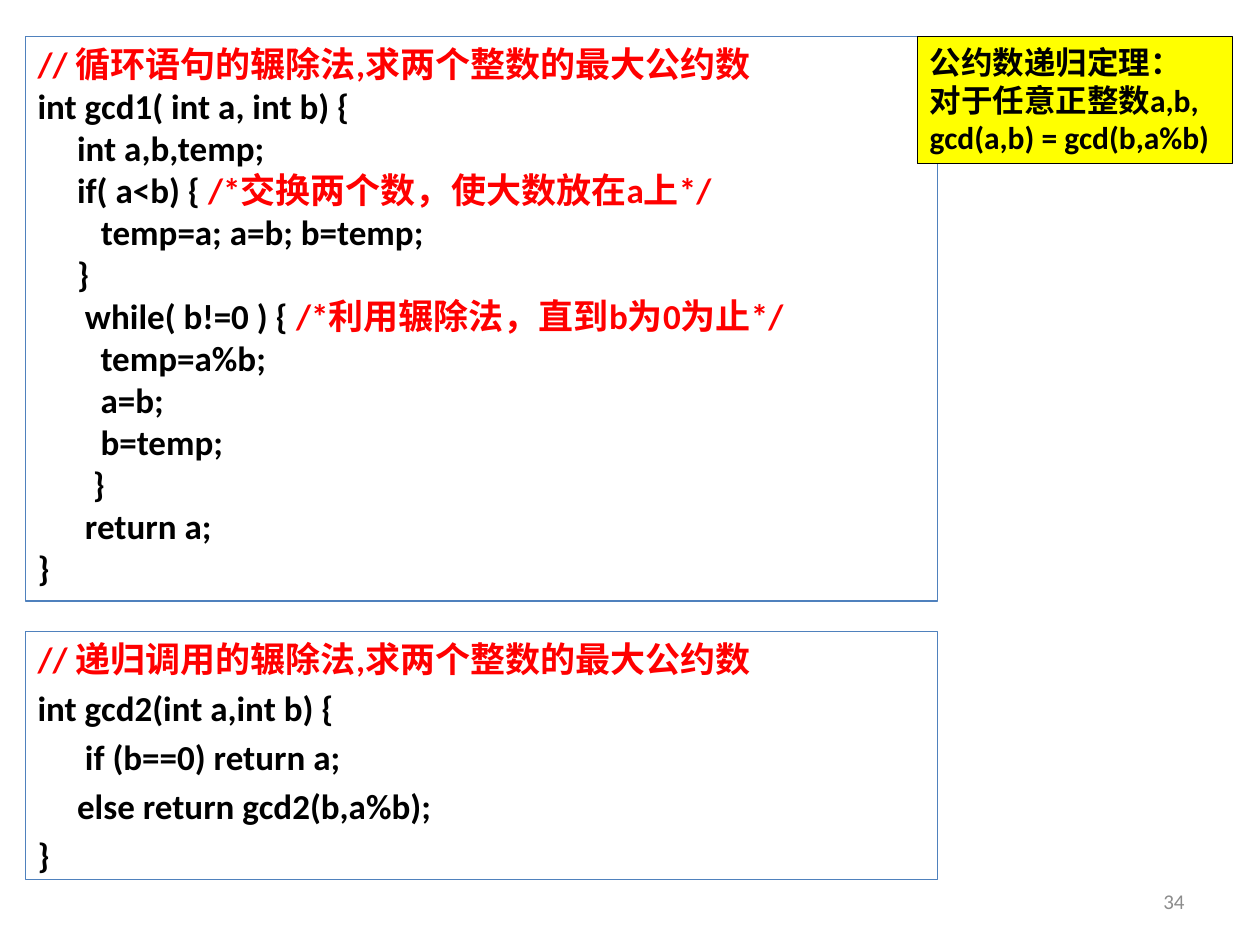
"""Build a slide comparing loop and recursive versions of the Euclidean algorithm."""
import pptx
import pptx.dml.color
import pptx.enum.text
import pptx.util

Inches = pptx.util.Inches
Pt = pptx.util.Pt
RGBColor = pptx.dml.color.RGBColor
Align = pptx.enum.text.PP_ALIGN
Anchor = pptx.enum.text.MSO_ANCHOR

BLACK = RGBColor(0x00, 0x00, 0x00)
RED = RGBColor(0xFF, 0x00, 0x00)
WHITE = RGBColor(0xFF, 0xFF, 0xFF)
YELLOW = RGBColor(0xFF, 0xFF, 0x00)
BLUE = RGBColor(0x4F, 0x81, 0xBD)
GRAY = RGBColor(0x8C, 0x8C, 0x8C)

LOOP_CODE = """// 循环语句的辗除法,求两个整数的最大公约数
int gcd1( int a, int b) {
     int a,b,temp;
     if( a<b) { /*交换两个数，使大数放在a上*/
        temp=a; a=b; b=temp;
     }
      while( b!=0 ) { /*利用辗除法，直到b为0为止*/
\ttemp=a%b;
\ta=b;
\tb=temp;
       }
      return a;
}"""

RECURSIVE_CODE = """// 递归调用的辗除法,求两个整数的最大公约数
int gcd2(int a,int b) {
      if (b==0) return a;
     else return gcd2(b,a%b);
}"""

THEOREM = """公约数递归定理：
对于任意正整数a,b,
gcd(a,b) = gcd(b,a%b)"""

deck = pptx.Presentation()
deck.slide_width = Inches(10)
deck.slide_height = Inches(7.5)
page = deck.slides.add_slide(deck.slide_layouts[6])


def add_text(text, left, top, width, height, size=20, color=BLACK, bold=True,
             fill=None, line=None, gap=0, align=Align.LEFT, anchor=Anchor.TOP):
    """Add a text box, with code comments set in red."""
    box = page.shapes.add_textbox(Inches(left), Inches(top), Inches(width), Inches(height))
    if fill is not None:
        box.fill.solid()
        box.fill.fore_color.rgb = fill
    if line is not None:
        box.line.color.rgb = line
        box.line.width = Pt(0.75)
    frame = box.text_frame
    frame.word_wrap = True
    frame.vertical_anchor = anchor
    for index, row in enumerate(text.split("\n")):
        para = frame.add_paragraph() if index else frame.paragraphs[0]
        para.alignment = align
        para.space_before = Pt(gap if index else 0)
        marker = "//" if row.startswith("//") else "/*"
        code, mark, comment = row.partition(marker)
        for part, part_color in ((code, color), (mark + comment, RED)):
            if part:
                span = para.add_run()
                span.text = part
                span.font.name = "Calibri"
                span.font.size = Pt(size)
                span.font.bold = bold
                span.font.color.rgb = part_color


add_text(RECURSIVE_CODE, 0.2, 5.01, 7.24, 1.97, fill=WHITE, line=BLUE, gap=4)
add_text(LOOP_CODE, 0.2, 0.29, 7.24, 4.48, fill=WHITE, line=BLUE)
add_text(THEOREM, 7.28, 0.29, 2.5, 1.01, size=18, fill=YELLOW, line=BLACK)
add_text("34", 7.17, 6.95, 2.33, 0.4, size=12, color=GRAY, bold=False,
         align=Align.RIGHT, anchor=Anchor.MIDDLE)

deck.save("out.pptx")
